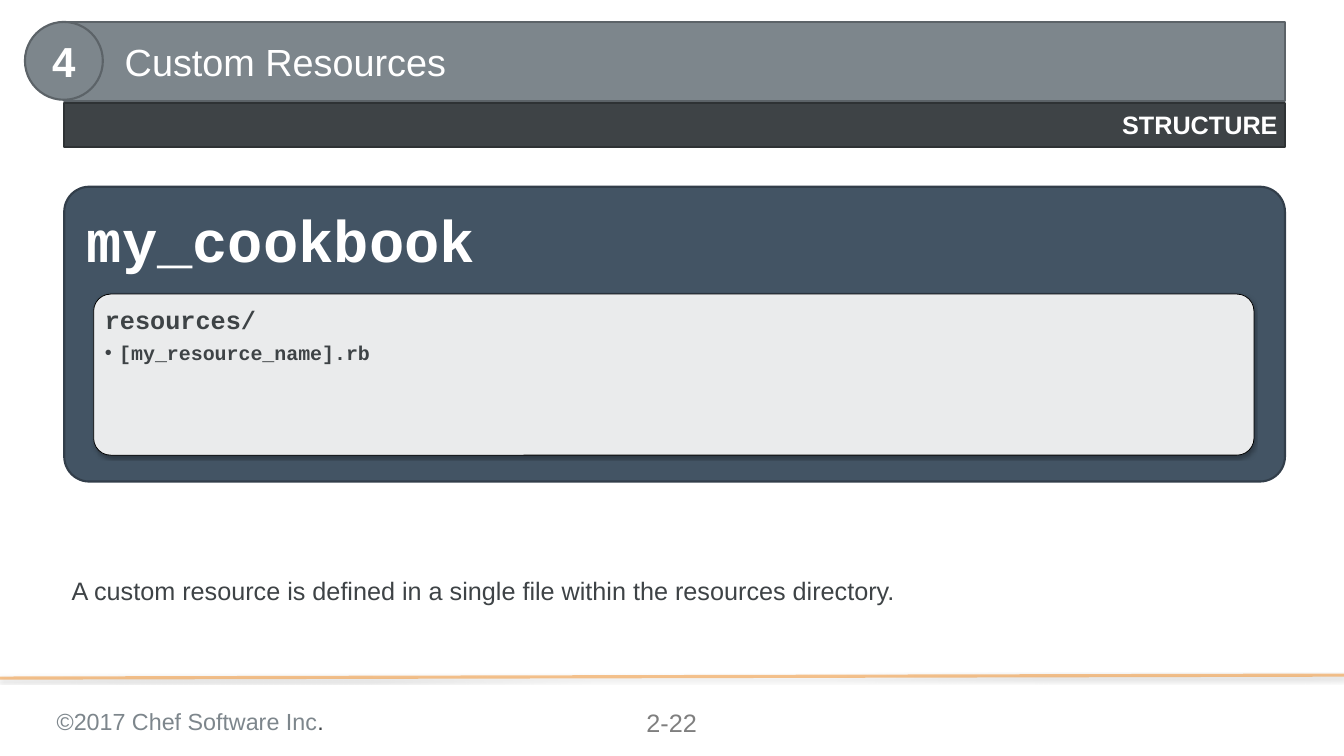
from dataclasses import dataclass

from lxml import etree
from pptx import Presentation
from pptx import util as u
from pptx.dml.color import RGBColor
from pptx.enum import shapes, text
from pptx.oxml import ns

GREY = RGBColor(0x7D, 0x86, 0x8C)
GREY_EDGE = RGBColor(0x5C, 0x63, 0x68)
CHARCOAL = RGBColor(0x3E, 0x43, 0x46)
CHARCOAL_EDGE = RGBColor(0x2E, 0x32, 0x34)
SLATE = RGBColor(0x43, 0x54, 0x64)
SLATE_EDGE = RGBColor(0x32, 0x3E, 0x4A)
PAGE_GREY = RGBColor(0x7F, 0x7F, 0x7F)
ORANGE = RGBColor(0xF1, 0x8B, 0x21)
WHITE = RGBColor(0xFF, 0xFF, 0xFF)
BLACK = RGBColor(0, 0, 0)
SANS, MONO = "Arial", "Courier New"
SHAPE, ALIGN = shapes.MSO_SHAPE, text.PP_ALIGN


@dataclass
class Box:
    """A rectangle whose inner boxes are given in percent of its size."""

    left: int
    top: int
    width: int
    height: int

    def inner(self, x, y, w, h):
        """Return the inner box at the given percentages."""
        return Box(int(self.left + self.width * x / 100), int(self.top + self.height * y / 100),
                   int(self.width * w / 100), int(self.height * h / 100))

    def bounds(self):
        """Return left, top, width and height."""
        return self.left, self.top, self.width, self.height


def add_element(parent, tag, **attributes):
    """Append a drawing element to its parent."""
    return etree.SubElement(parent, ns.qn(tag), {key: str(value) for key, value in attributes.items()})


def set_alpha(fill_parent, percent):
    """Make the solid colour below the given element translucent."""
    colour = fill_parent.find(ns.qn("a:solidFill"))[0]
    add_element(colour, "a:alpha", val=percent * 1000)


def add_shadow(drawn):
    """Give a shape or connector a soft shadow straight below it."""
    effects = add_element(drawn._element.spPr, "a:effectLst")
    shadow = add_element(effects, "a:outerShdw", blurRad=u.Pt(3.1), dist=u.Pt(1.8),
                         dir=5400000, rotWithShape=0)
    add_element(add_element(shadow, "a:srgbClr", val=BLACK), "a:alpha", val=35000)


def paint(shape, fill, edge, width=2):
    """Set the fill and outline of a shape."""
    shape.fill.solid()
    shape.fill.fore_color.rgb = fill
    shape.line.color.rgb = edge
    shape.line.width = u.Pt(width)


def add_panel(slide, box, kind, fill, edge, width=2, corner=None):
    """Add a filled preset shape without the theme shadow."""
    panel = slide.shapes.add_shape(kind, *box.bounds())
    paint(panel, fill, edge, width)
    panel.shadow.inherit = False
    if corner is not None:
        panel.adjustments[0] = corner
    return panel


def frame_of(shape, insets=(0.1, 0.1, 0.1, 0.1), anchor=text.MSO_ANCHOR.TOP):
    """Prepare a wrapping text frame with insets in inches."""
    frame = shape.text_frame
    frame.word_wrap = True
    frame.auto_size = text.MSO_AUTO_SIZE.NONE
    frame.vertical_anchor = anchor
    frame.margin_left, frame.margin_top, frame.margin_right, frame.margin_bottom = map(u.Inches, insets)
    return frame


def add_label(slide, box, **options):
    """Add a text box and return its text frame."""
    return frame_of(slide.shapes.add_textbox(*box.bounds()), **options)


def write(paragraph, words, size, colour, bold=False, font=SANS, align=ALIGN.LEFT):
    """Add one formatted run to a paragraph."""
    paragraph.alignment = align
    run = paragraph.add_run()
    run.text = words
    run.font.size, run.font.name, run.font.bold = u.Pt(size), font, bold
    run.font.color.rgb = colour


def write_code(paragraph, words, size, colour, after):
    """Add a tightly spaced line in the code font."""
    paragraph.line_spacing = 0.9
    paragraph.space_after = u.Pt(after)
    write(paragraph, words, size, colour, True, MONO)


def build_header(slide, box):
    """Place the title bar, the chapter badge and the section strip."""
    middle = text.MSO_ANCHOR.MIDDLE
    title = slide.shapes.title
    title.left, title.top, title.width, title.height = box.inner(0, 0, 100, 63.64).bounds()
    paint(title, GREY, GREY_EDGE)
    heading = frame_of(title, (0.8, 0.1, 0.1, 0.1), middle)
    write(heading.paragraphs[0], "Custom Resources", 36, WHITE)

    badge = add_panel(slide, box.inner(-3.22, 0, 6.38, 62.42), SHAPE.OVAL, GREY, GREY_EDGE)
    strip = add_panel(slide, box.inner(0, 64.85, 100, 35.15), SHAPE.RECTANGLE, CHARCOAL, CHARCOAL_EDGE)
    for panel, words, size, align in ((badge, "4", 40, ALIGN.CENTER), (strip, "STRUCTURE", 24, ALIGN.RIGHT)):
        frame = frame_of(panel, (0.1, 0.05, 0.1, 0.05), middle)
        write(frame.paragraphs[0], words, size, WHITE, True, align=align)


def build_cookbook(slide, box):
    """Place the cookbook panel with its directory listing."""
    add_panel(slide, box, SHAPE.ROUNDED_RECTANGLE, SLATE, SLATE_EDGE, corner=0.085)
    name = add_label(slide, box.inner(0.43, 2.56, 99.07, 94.87), insets=(0.23, 0.23, 0.23, 1.93))
    write_code(name.paragraphs[0], "my_cookbook", 56, WHITE, 20)

    directory = add_panel(slide, box.inner(2.41, 36.41, 95.05, 54.62), SHAPE.ROUNDED_RECTANGLE,
                          WHITE, BLACK, 0.75, 0.105)
    set_alpha(directory._element.spPr, 90)
    directory._element.spPr.remove(directory._element.spPr.find(ns.qn("a:effectLst")))
    add_shadow(directory)

    listing = add_label(slide, box.inner(2.72, 38.46, 94.49, 57.18))
    write_code(listing.paragraphs[0], "resources/", 24, CHARCOAL, 8)
    entry = listing.add_paragraph()
    entry.level = 1
    properties = entry._p.get_or_add_pPr()
    properties.set("marL", str(u.Inches(0.19)))
    properties.set("indent", str(u.Inches(-0.19)))
    add_element(properties, "a:buFont", typeface=SANS)
    add_element(properties, "a:buChar", char="•")
    write_code(entry, "[my_resource_name].rb", 19, CHARCOAL, 3)


def build_note(slide, box):
    """Place the explanation below the cookbook."""
    note = add_label(slide, box)
    write(note.paragraphs[0], "A custom resource is defined in a single file within the resources directory.",
          24, CHARCOAL)


def build_footer(slide, box):
    """Place the rule, the copyright line and the page number."""
    start, end = box.inner(100, 0, 0, 0), box.inner(0, 3.74, 0, 0)
    rule = slide.shapes.add_connector(shapes.MSO_CONNECTOR.STRAIGHT, start.left, start.top, end.left, end.top)
    rule.line.color.rgb = ORANGE
    rule.line.width = u.Pt(3)
    set_alpha(rule.line._ln, 50)
    add_shadow(rule)

    rights = add_label(slide, box.inner(3.66, 29.91, 33.18, 48.6)).paragraphs[0]
    write(rights, "©2017 Chef Software Inc", 22.2, GREY)
    write(rights, ".", 22.2, CHARCOAL)
    number = add_label(slide, box.inner(45.56, 29.91, 8.83, 53.27))
    write(number.paragraphs[0], "2-22", 24, PAGE_GREY, align=ALIGN.CENTER)


def main():
    """Build the slide and save it."""
    deck = Presentation()
    deck.slide_width, deck.slide_height = u.Inches(17.78), u.Inches(10)
    slide = deck.slides.add_slide(deck.slide_layouts[5])
    page = Box(0, 0, deck.slide_width, deck.slide_height)
    margin, content = 4.78, 90.83
    build_footer(slide, page.inner(0, 89.3, 100, 10.7))
    build_header(slide, page.inner(margin, 2.9, content, 16.5))
    build_cookbook(slide, page.inner(margin, 24.7, content, 39))
    build_note(slide, page.inner(margin, 75.1, content, 11.9))
    deck.save("out.pptx")


if __name__ == "__main__":
    main()
